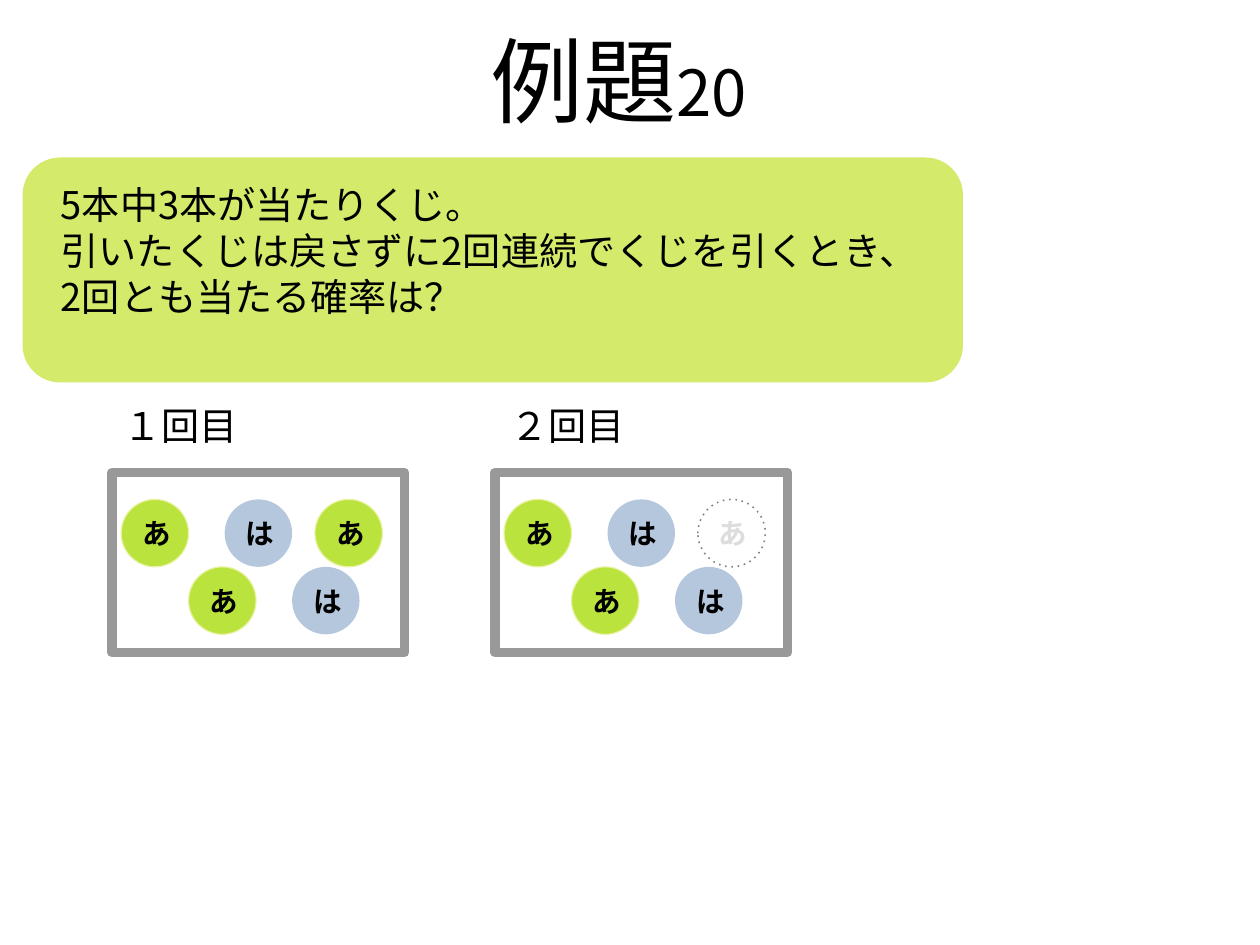
"""Build the lottery probability example slide."""
from lxml.etree import SubElement
from pptx import Presentation
from pptx.dml.color import RGBColor
from pptx.enum.shapes import MSO_SHAPE as SHAPE
from pptx.enum.text import MSO_ANCHOR as ANCHOR, PP_ALIGN as ALIGN
from pptx.oxml.ns import qn
from pptx.util import Pt

FONT = "Noto Sans CJK JP"
BLACK = RGBColor(0x00, 0x00, 0x00)
WHITE = RGBColor(0xFF, 0xFF, 0xFF)
LIME = RGBColor(0xD4, 0xEA, 0x6B)
GREEN = RGBColor(0xBB, 0xE3, 0x3D)
PALE = RGBColor(0xE8, 0xF2, 0xA1)
BLUE = RGBColor(0xB4, 0xC7, 0xDC)
GRAY = RGBColor(0x99, 0x99, 0x99)
DARK = RGBColor(0x80, 0x80, 0x80)
FAINT = RGBColor(0xDD, 0xDD, 0xDD)

TITLE = [("例題", 58.6), ("20", 40)]
QUESTION = [
    "5本中3本が当たりくじ。",
    "引いたくじは戻さずに2回連続でくじを引くとき、",
    "2回とも当たる確率は？",
]
DRAWS = [
    ("１回目", 70.6, 70.6, ["win", "win", "win", "lose", "lose"]),
    ("２回目", 314.6, 311.8, ["win", "win", "drawn", "lose", "lose"]),
]
LOTS = {
    "win": ("あ", GREEN, BLACK),
    "lose": ("は", BLUE, BLACK),
    "drawn": ("あ", None, FAINT),
}
BOX_TOP, BOX_W, BOX_H = 297.6, 184.2, 113.4
LOT = 42.5
ROWS = [314.6, 314.6 + LOT]
SPOTS = [(5.7, 0), (5.7 + LOT, 1), (127.8, 0), (113.4, 1), (70.9, 0)]


def style(p, size, color=BLACK, bold=False):
    for r in p.runs:
        r.font.size, r.font.name, r.font.bold = Pt(size), FONT, bold
        r.font.color.rgb = color
        SubElement(r.font._element, qn("a:ea"), typeface=FONT)


def add_text(slide, box, lines, size):
    tf = slide.shapes.add_textbox(*map(Pt, box)).text_frame
    tf.word_wrap = True
    tf.text = "\n".join(lines)
    for p in tf.paragraphs:
        style(p, size)
    return tf


def add_shape(slide, kind, box, fill=None, line=None, width=0):
    sp = slide.shapes.add_shape(kind, *map(Pt, box))
    sp.shadow.inherit = False
    if fill is None:
        sp.fill.background()
    else:
        sp.fill.solid()
        sp.fill.fore_color.rgb = fill
    if line is None:
        sp.line.fill.background()
    else:
        sp.line.color.rgb = line
        sp.line.width = Pt(width)
    return sp


def add_lot(slide, left, top, kind):
    text, fill, color = LOTS[kind]
    line, width = {"win": (PALE, 0), "lose": (None, 0), "drawn": (DARK, 1)}[kind]
    sp = add_shape(slide, SHAPE.OVAL, (left, top, LOT, LOT), fill, line, width)
    if kind == "drawn":
        SubElement(sp._element.spPr.find(qn("a:ln")), qn("a:prstDash"), val="dot")
    tf = sp.text_frame
    tf.text = text
    tf.vertical_anchor = ANCHOR.MIDDLE
    p = tf.paragraphs[0]
    p.alignment = ALIGN.CENTER
    style(p, 18, color, True)


def add_title(slide):
    tf = add_text(slide, (14.2, 14.2, 751.2, 70.9), [""], 40)
    tf.margin_left = tf.margin_right = tf.margin_top = tf.margin_bottom = 0
    tf.vertical_anchor = ANCHOR.MIDDLE
    p = tf.paragraphs[0]
    p.alignment = ALIGN.CENTER
    for text, size in TITLE:
        r = p.add_run()
        r.text = text
    style(p, size)
    for r, (text, size) in zip(p.runs, TITLE):
        r.font.size = Pt(size)


def main():
    prs = Presentation()
    prs.slide_width, prs.slide_height = Pt(793.7), Pt(595.3)
    slide = prs.slides.add_slide(prs.slide_layouts[6])

    add_shape(slide, SHAPE.FLOWCHART_ALTERNATE_PROCESS, (14.2, 99.2, 592.4, 141.7), LIME)
    add_title(slide)
    add_text(slide, (31.2, 110.9, 751.2, 111.6), QUESTION, 24)

    for label, label_left, left, lots in DRAWS:
        box = add_shape(slide, SHAPE.RECTANGLE, (left, BOX_TOP, BOX_W, BOX_H), WHITE, GRAY, 6)
        SubElement(box._element.spPr.find(qn("a:ln")), qn("a:round"))
        for (dx, row), kind in zip(SPOTS, lots):
            add_lot(slide, left + dx, ROWS[row], kind)
        add_text(slide, (label_left, 249.8, 127.6, 41.8), [label], 24)

    prs.save("out.pptx")


if __name__ == "__main__":
    main()
